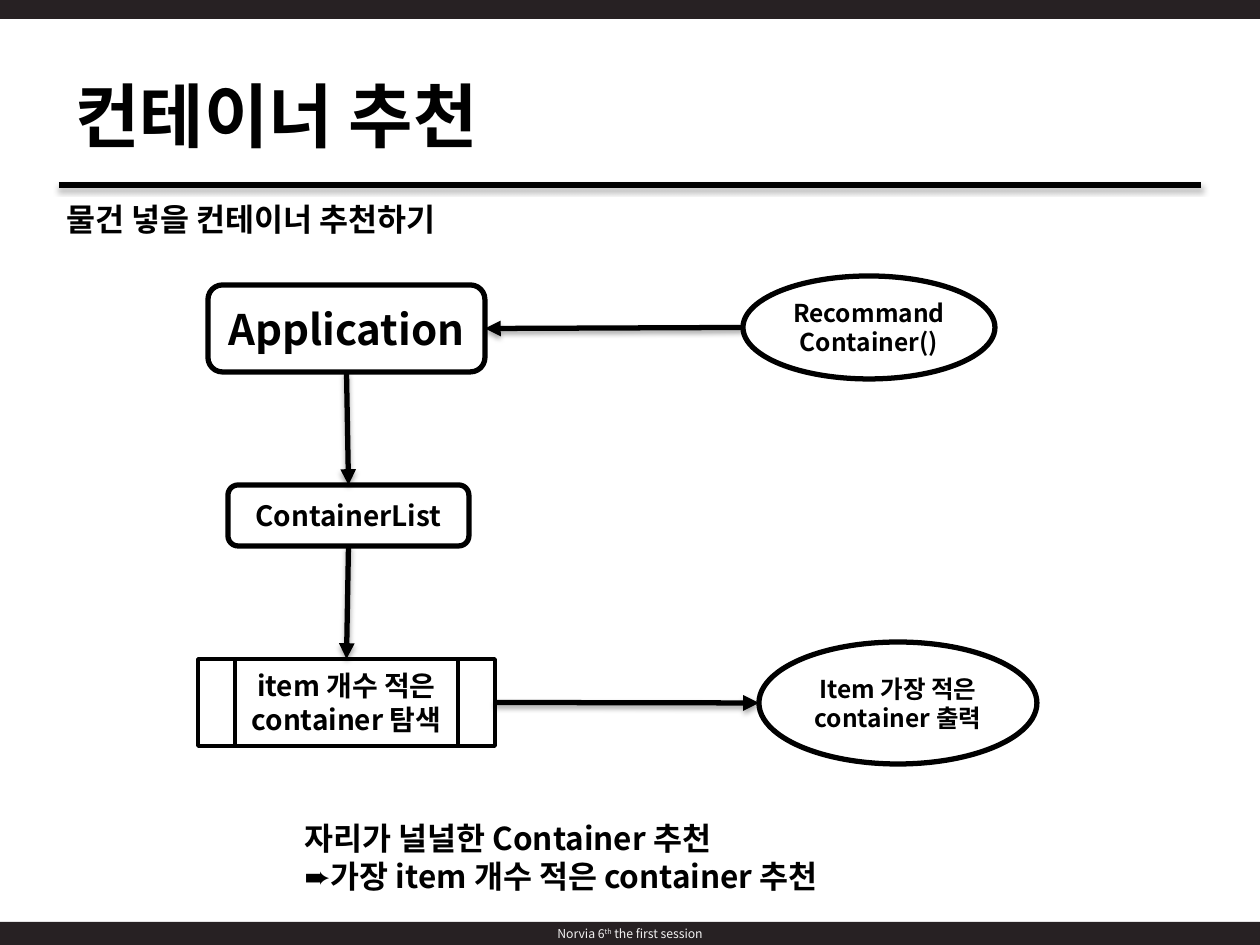
import pptx
import lxml.etree
import pptx.util
import pptx.dml.color
import pptx.enum.shapes
import pptx.enum.text
import pptx.oxml
import pptx.oxml.ns
from dataclasses import dataclass

PX = 914400 / 126
SHAPE = pptx.enum.shapes.MSO_SHAPE
ALIGN = pptx.enum.text.PP_ALIGN
ANCHOR = pptx.enum.text.MSO_ANCHOR
NS = pptx.oxml.ns.nsdecls("a")


@dataclass(frozen=True)
class Theme:
    """Colours, fonts and sizes of the slide."""
    ink: str = "000000"
    paper: str = "FFFFFF"
    bar: str = "272123"
    footer: str = "F2F2F2"
    font: str = "Noto Sans CJK KR"
    symbol_font: str = "Arial"
    title_size: int = 40
    body_size: int = 18
    app_size: int = 24
    step_size: int = 16
    oval_size: int = 14
    footer_size: int = 7
    line: int = 3
    thin: int = 2


T = Theme()


def emu(*lengths):
    """Turn pixels into EMU."""
    return [pptx.util.Emu(round(v * PX)) for v in lengths]


def rgb(color):
    """Make a colour from its hex digits."""
    return pptx.dml.color.RGBColor.from_string(color)


def format_run(r, size, color=T.ink, bold=True, font=T.font):
    """Format a run, for Latin and East Asian letters alike."""
    r.font.size = pptx.util.Pt(size)
    r.font.bold = bold
    r.font.color.rgb = rgb(color)
    r.font.name = font
    ea = lxml.etree.SubElement(r.font._element, pptx.oxml.ns.qn("a:ea"))
    ea.set("typeface", font)


def add_text(s, box, lines, size):
    """Add a wrapping text box; each line is a list of (text, font, bold)."""
    tf = s.shapes.add_textbox(*emu(*box)).text_frame
    tf.word_wrap = True
    for i, runs in enumerate(lines):
        p = tf.paragraphs[0] if i == 0 else tf.add_paragraph()
        for text, font, bold in runs:
            r = p.add_run()
            r.text = text
            format_run(r, size, bold=bold, font=font)


def add_node(s, kind, box, text="", size=T.step_size, fill=T.paper, line=T.line):
    """Add a shape with centred text; line 0 means no outline."""
    sp = s.shapes.add_shape(kind, *emu(*box))
    sp.shadow.inherit = False
    if fill:
        sp.fill.solid()
        sp.fill.fore_color.rgb = rgb(fill)
    else:
        sp.fill.background()
    if line:
        sp.line.color.rgb = rgb(T.ink)
        sp.line.width = pptx.util.Pt(line)
    else:
        sp.line.fill.background()
    tf = sp.text_frame
    tf.word_wrap = True
    tf.vertical_anchor = ANCHOR.MIDDLE
    p = tf.paragraphs[0]
    p.alignment = ALIGN.CENTER
    if text:
        p.text = text
        format_run(p.runs[0], size)
    return sp


def add_line(s, start, end, arrow=True):
    """Add a straight line with a soft shadow and an optional arrowhead."""
    straight = pptx.enum.shapes.MSO_CONNECTOR.STRAIGHT
    c = s.shapes.add_connector(straight, *emu(*start, *end))
    c.line.color.rgb = rgb(T.ink)
    c.line.width = pptx.util.Pt(T.line)
    if arrow:
        c.line._get_or_add_ln().append(
            pptx.oxml.parse_xml(f'<a:tailEnd {NS} type="triangle"/>'))
    c._element.spPr.append(pptx.oxml.parse_xml(
        f'<a:effectLst {NS}><a:outerShdw blurRad="39400" dist="22900" '
        f'dir="5400000" rotWithShape="0"><a:srgbClr val="{T.ink}">'
        '<a:alpha val="35000"/></a:srgbClr></a:outerShdw></a:effectLst>'))


def side(box, name):
    """Give the middle point of one side of a box."""
    x, y, w, h = box
    return {"left": (x, y + h / 2), "right": (x + w, y + h / 2),
            "top": (x + w / 2, y), "bottom": (x + w / 2, y + h)}[name]


def add_bars(s, box):
    """Add the dark bars along top and bottom, with the footer text."""
    x, y, w, h = box
    thick = 23
    add_node(s, SHAPE.RECTANGLE, (x, y, w, thick), fill=T.bar, line=0)
    sp = add_node(s, SHAPE.RECTANGLE, (x, y + h - thick, w, thick), fill=T.bar, line=0)
    p = sp.text_frame.paragraphs[0]
    for text, raised in (("Norvia 6", 0), ("th", 30000), (" the first session", 0)):
        r = p.add_run()
        r.text = text
        format_run(r, T.footer_size, T.footer, bold=False)
        if raised:
            r.font._element.set("baseline", str(raised))


def add_header(s, box):
    """Place the title, the rule below it and the subtitle."""
    x, y, w, h = box
    title = s.shapes.title
    title.left, title.top, title.width, title.height = emu(x + 4, y, 567, 97)
    tf = title.text_frame
    tf.text = "컨테이너 추천"
    tf.vertical_anchor = ANCHOR.TOP
    tf.auto_size = pptx.enum.text.MSO_AUTO_SIZE.NONE
    tf.paragraphs[0].alignment = ALIGN.LEFT
    format_run(tf.paragraphs[0].runs[0], T.title_size)
    add_line(s, (x, y + 119), (x + w, y + 119), arrow=False)
    add_text(s, (x - 5, y + h - 50, 804, 50),
             [[("물건 넣을 컨테이너 추천하기", T.font, True)]], T.body_size)


def add_flow(s, box):
    """Draw the steps and the arrows between them."""
    x, y, w, h = box
    nodes = {
        "app": (SHAPE.ROUNDED_RECTANGLE, (10, 9, 277, 87), "Application", T.app_size),
        "call": (SHAPE.OVAL, (545, 0, 252, 103), "RecommandContainer()", T.oval_size),
        "list": (SHAPE.ROUNDED_RECTANGLE, (30, 209, 241, 61), "ContainerList", T.step_size),
        "search": (SHAPE.FLOWCHART_PREDEFINED_PROCESS, (0, 383, 297, 87),
                   "item 개수 적은 container 탐색", T.step_size),
        "result": (SHAPE.OVAL, (561, h - 122, w - 561, 122),
                   "Item 가장 적은 container 출력", T.oval_size),
    }
    boxes = {}
    for name, (kind, (dx, dy, nw, nh), text, size) in nodes.items():
        boxes[name] = (x + dx, y + dy, nw, nh)
        style = {"fill": None, "line": T.thin} if name == "search" else {}
        add_node(s, kind, boxes[name], text, size, **style)
    for a, a_side, b, b_side in (("call", "left", "app", "right"),
                                 ("app", "bottom", "list", "top"),
                                 ("list", "bottom", "search", "top"),
                                 ("search", "right", "result", "left")):
        add_line(s, side(boxes[a], a_side), side(boxes[b], b_side))


def add_summary(s, box):
    """Add the two closing lines."""
    add_text(s, box, [
        [("자리가 널널한 Container 추천", T.font, True)],
        [("➨", T.symbol_font, False),
         ("가장 item 개수 적은 container 추천", T.font, True)],
    ], T.body_size)


prs = pptx.Presentation()
prs.slide_width, prs.slide_height = emu(1260, 945)
s = prs.slides.add_slide(prs.slide_layouts[5])
add_bars(s, (-60, -4, 1380, 949))
add_header(s, (59, 66, 1142, 178))
add_flow(s, (198, 276, 839, 488))
add_summary(s, (292, 813, 774, 89))
prs.save("out.pptx")
